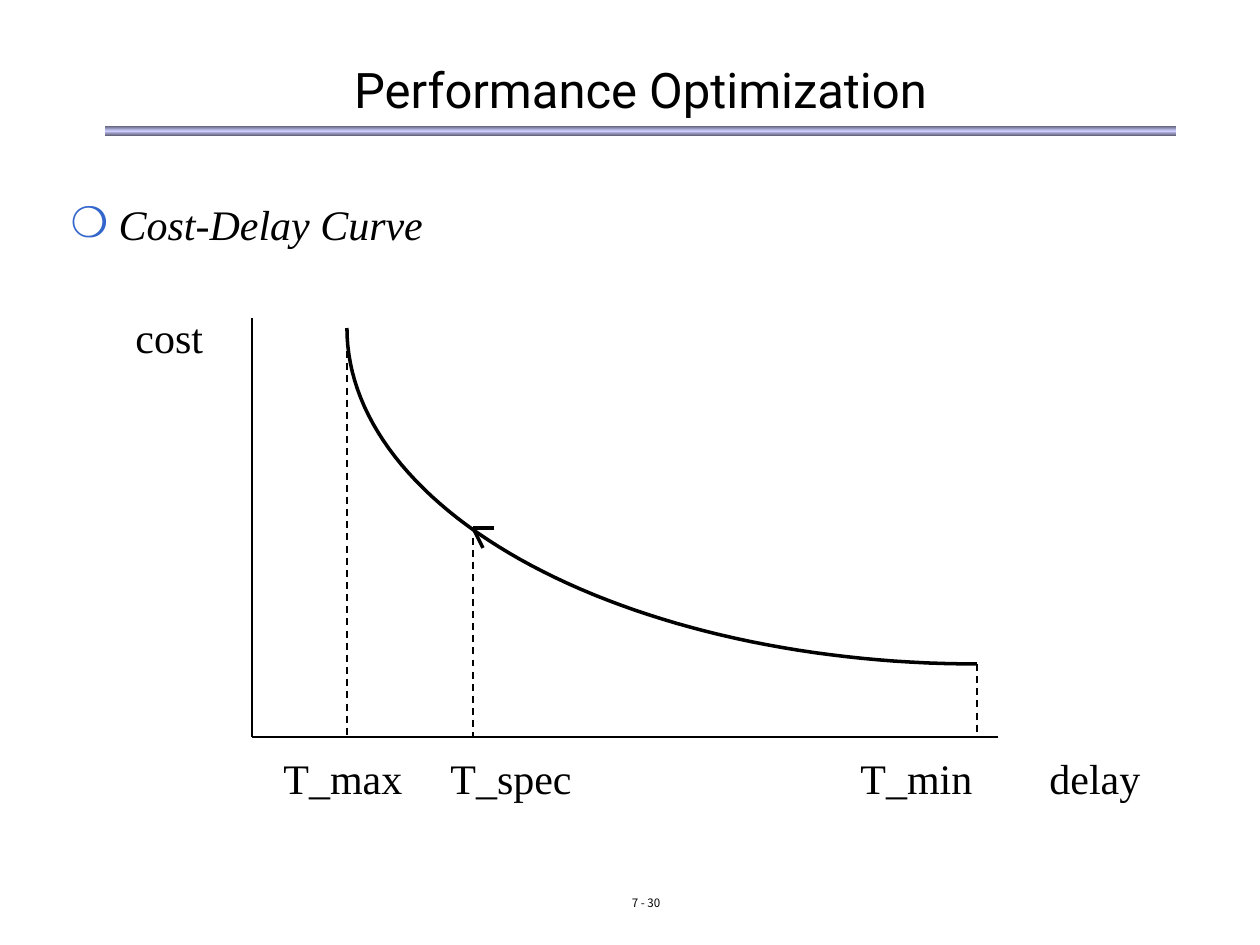
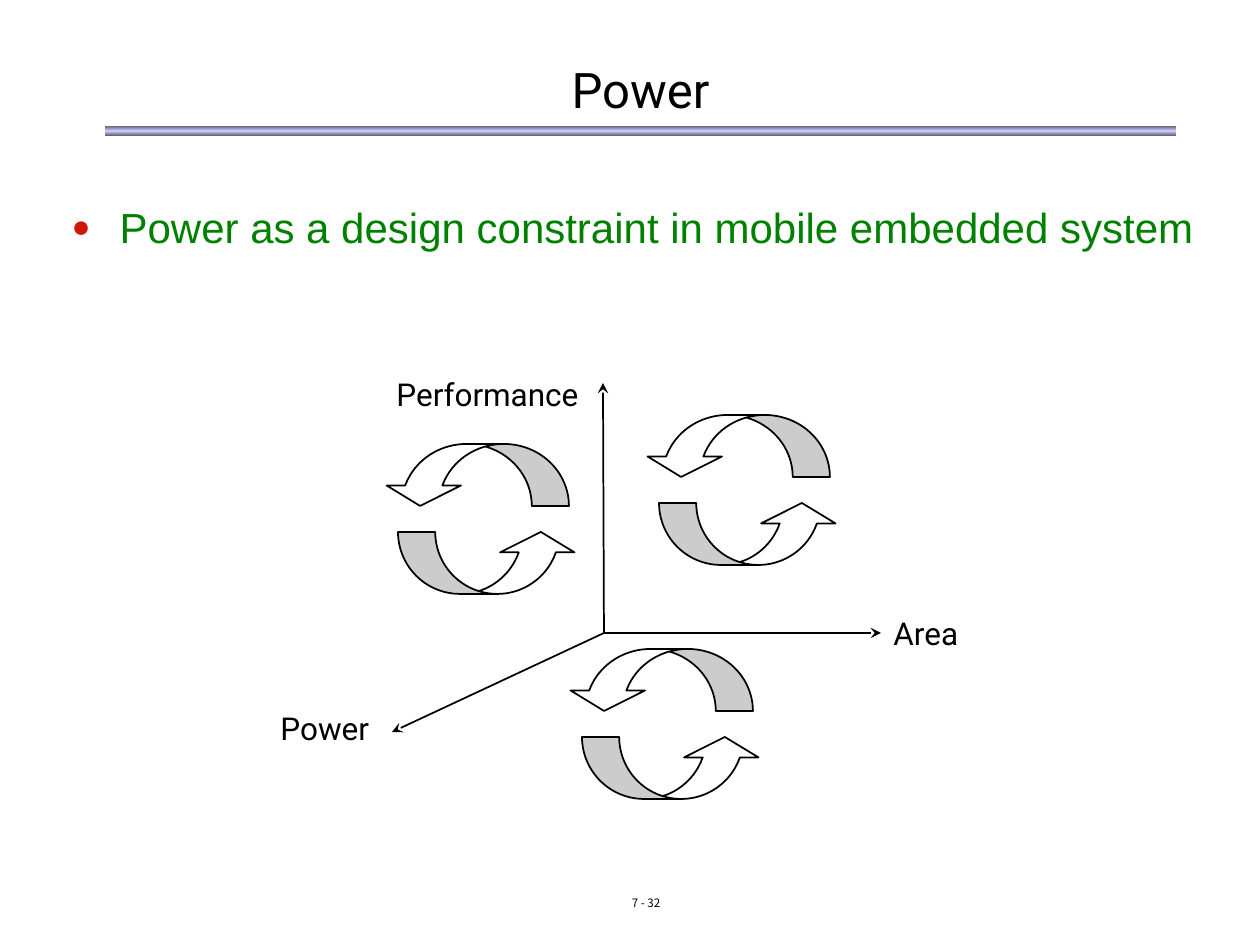
from copy import deepcopy
from math import cos, pi, sin
from typing import Any, NamedTuple

from pptx import Presentation
from pptx.dml.color import RGBColor
from pptx.dml.line import LineFormat
from pptx.enum.dml import MSO_LINE
from pptx.enum.shapes import MSO_CONNECTOR, MSO_SHAPE as Preset
from pptx.enum.text import MSO_ANCHOR as Anchor, MSO_AUTO_SIZE as AutoSize, PP_ALIGN as Align
from pptx.oxml.ns import qn
from pptx.oxml.xmlchemy import OxmlElement
from pptx.slide import Slide
from pptx.text.text import TextFrame
from pptx.util import Emu, Pt

# Shared scale, colours and fonts
EMU_PER_PX = 914400 / 126
BLACK = RGBColor(0x00, 0x00, 0x00)
WHITE = RGBColor(0xFF, 0xFF, 0xFF)
BAND_EDGE = RGBColor(0x5E, 0x5E, 0x76)
BAND_MIDDLE = RGBColor(0xCC, 0xCC, 0xFF)
BLUE = RGBColor(0x33, 0x66, 0xCC)
RED = RGBColor(0xD0, 0x16, 0x08)
GREEN = RGBColor(0x00, 0x80, 0x00)
SANS, SERIF, BODY_SANS = "Roboto", "Times New Roman", "Arial"
FOOTER_FONT = "Noto Sans CJK KR"


class Box(NamedTuple):
    left: int
    top: int
    width: int
    height: int


class Label(NamedTuple):
    text: str
    box: Box


class Line(NamedTuple):
    x1: int
    y1: int
    x2: int
    y2: int
    weight: int = 1
    dash: MSO_LINE | None = None
    arrow: bool = False


class TextStyle(NamedTuple):
    font: str
    size: float
    color: RGBColor = BLACK
    italic: bool = False


class Bullet(NamedTuple):
    char: str
    color: RGBColor
    percent: int
    indent: int
    space_before: int


TITLE_BOX = Box(105, 62, 1071, 53)
BAND_BOX = Box(105, 126, 1071, 10)
FOOTER_BOX = Box(515, 892, 262, 32)
TITLE_STYLE = TextStyle(SANS, 28)
FOOTER_STYLE = TextStyle(FOOTER_FONT, 6.6)
CURVE_LABEL = TextStyle(SERIF, 24)
AXIS_LABEL = TextStyle(SANS, 18)


def px(length: float) -> Emu:
    return Emu(round(length * EMU_PER_PX))


def emu(box: Box) -> list[Emu]:
    return [px(length) for length in box]


def set_all(target: Any, values: dict[str, Any]) -> None:
    for name, value in values.items():
        setattr(target, name, value)


def write(frame: TextFrame, text: str, style: TextStyle, **paragraph_format: Any) -> None:
    paragraph = frame.paragraphs[0]
    set_all(paragraph, paragraph_format)
    run = paragraph.add_run()
    run.text = text
    set_all(run.font, {"name": style.font, "size": Pt(style.size),
                       "italic": style.italic, "bold": False})
    run.font.color.rgb = style.color


def ink(line: LineFormat, weight: int = 1) -> None:
    line.color.rgb = BLACK
    line.width = Pt(weight)


# Parts that both slides share
def add_band(slide: Slide) -> None:
    band = slide.shapes.add_shape(Preset.RECTANGLE, *emu(BAND_BOX))
    band.shadow.inherit = False
    band.line.fill.background()
    band.fill.gradient()
    band.fill.gradient_angle = 90
    stop_list = band._element.spPr.find(".//" + qn("a:gsLst"))
    stop_list.append(deepcopy(stop_list[0]))
    colors = (BAND_EDGE, BAND_MIDDLE, BAND_EDGE)
    for i, (stop, color) in enumerate(zip(band.fill.gradient_stops, colors)):
        stop.position = i / 2
        stop.color.rgb = color


def place(slide: Slide, index: int, box: Box, frame_format: dict[str, Any]) -> TextFrame:
    holder = slide.placeholders[index]
    set_all(holder, dict(zip(Box._fields, emu(box))))
    set_all(holder.text_frame, {"auto_size": AutoSize.NONE, "word_wrap": True, **frame_format})
    return holder.text_frame


def start_slide(prs: Presentation, title: str, page: str) -> Slide:
    slide = prs.slides.add_slide(prs.slide_layouts[1])
    add_band(slide)
    margins = dict.fromkeys(("margin_left", "margin_right", "margin_top", "margin_bottom"), 0)
    heading = place(slide, 0, TITLE_BOX, {"vertical_anchor": Anchor.MIDDLE, **margins})
    write(heading, title, TITLE_STYLE, alignment=Align.CENTER)
    footer = slide.shapes.add_textbox(*emu(FOOTER_BOX)).text_frame
    footer.word_wrap = True
    write(footer, page, FOOTER_STYLE, alignment=Align.CENTER, line_spacing=0.8)
    return slide


def add_topic(slide: Slide, topic: Label, style: TextStyle, bullet: Bullet) -> None:
    frame = place(slide, 1, topic.box, {"vertical_anchor": Anchor.TOP})
    write(frame, topic.text, style, alignment=Align.LEFT,
          space_before=Pt(bullet.space_before))
    properties = frame.paragraphs[0]._p.get_or_add_pPr()
    properties.set("marL", str(px(bullet.indent)))
    properties.set("indent", str(-px(bullet.indent)))
    color = OxmlElement("a:buClr")
    rgb = OxmlElement("a:srgbClr")
    rgb.set("val", str(bullet.color))
    color.append(rgb)
    size = OxmlElement("a:buSzPct")
    size.set("val", str(bullet.percent * 1000))
    char = OxmlElement("a:buChar")
    char.set("char", bullet.char)
    properties.extend((color, size, char))


def add_label(slide: Slide, label: Label, style: TextStyle) -> None:
    frame = slide.shapes.add_textbox(*emu(label.box)).text_frame
    set_all(frame, {"word_wrap": False, "auto_size": AutoSize.SHAPE_TO_FIT_TEXT})
    write(frame, label.text, style)


def add_line(slide: Slide, line: Line) -> None:
    ends = [px(value) for value in line[:4]]
    connector = slide.shapes.add_connector(MSO_CONNECTOR.STRAIGHT, *ends)
    ink(connector.line, line.weight)
    if line.dash is not None:
        connector.line.dash_style = line.dash
    if line.arrow:
        tail = OxmlElement("a:tailEnd")
        tail.set("type", "stealth")
        connector.line._get_or_add_ln().append(tail)
    connector._element.spPr.append(OxmlElement("a:effectLst"))


# Cost-delay diagram
AXIS_X, AXIS_Y, AXIS_TOP, AXIS_END = 252, 737, 318, 998
T_MAX, T_SPEC, T_MIN = 347, 473, 977
CURVE_TOP, CURVE_BOTTOM, SPEC_Y = 328, 664, 528
TICK_TOP, LABEL_HEIGHT = 746, 63

CURVE_LINES = (
    Line(AXIS_X, AXIS_TOP, AXIS_X, AXIS_Y),
    Line(AXIS_X, AXIS_Y, AXIS_END, AXIS_Y),
    *(Line(x, top, x, AXIS_Y, dash=MSO_LINE.DASH)
      for x, top in ((T_MIN, CURVE_BOTTOM), (T_MAX, 339), (T_SPEC, 538))),
    Line(T_SPEC, SPEC_Y, T_SPEC + 10, SPEC_Y + 20, weight=2),
    Line(T_SPEC, SPEC_Y, T_SPEC + 21, SPEC_Y, weight=2),
)
CURVE_LABELS = (
    Label("cost", Box(123, 305, 96, LABEL_HEIGHT)),
    Label("T_max", Box(271, TICK_TOP, 148, LABEL_HEIGHT)),
    Label("T_spec", Box(438, TICK_TOP, 150, LABEL_HEIGHT)),
    Label("T_min", Box(848, TICK_TOP, 140, LABEL_HEIGHT)),
    Label("delay", Box(1037, TICK_TOP, 119, LABEL_HEIGHT)),
)


def add_cost_curve(slide: Slide, steps: int = 60) -> None:
    """Draw the lower left quarter of an ellipse."""
    angles = [pi / 2 * i / steps for i in range(steps + 1)]
    points = [(px(T_MIN - (T_MIN - T_MAX) * sin(a)),
               px(CURVE_TOP + (CURVE_BOTTOM - CURVE_TOP) * cos(a))) for a in angles]
    builder = slide.shapes.build_freeform(*points[0])
    builder.add_line_segments(points[1:], close=False)
    curve = builder.convert_to_shape()
    curve.shadow.inherit = False
    curve.fill.background()
    ink(curve.line, 2)


def build_performance(prs: Presentation) -> None:
    slide = start_slide(prs, "Performance Optimization", "7 - 30")
    add_topic(slide, Label("Cost-Delay Curve", Box(58, 192, 500, 63)),
              TextStyle(SERIF, 24, italic=True), Bullet("❍", BLUE, 100, 48, 0))
    add_cost_curve(slide)
    for line in CURVE_LINES:
        add_line(slide, line)
    for label in CURVE_LABELS:
        add_label(slide, label, CURVE_LABEL)


# Power, performance and area trade-offs
ORIGIN = (604, 633)
AXIS_TIPS = ((603, 383), (392, 732), (881, 633))
AXIS_LABELS = (
    Label("Performance", Box(384, 369, 219, 50)),
    Label("Power", Box(268, 703, 120, 50)),
    Label("Area", Box(881, 608, 95, 50)),
)
CYCLES = ((648, 415), (387, 444), (571, 649))
CURVED_ARROW_SHAPE = (0.6, 1.2, 0.33)


def add_curved_arrow(slide: Slide, preset: Preset, box: Box, flip: bool) -> None:
    arrow = slide.shapes.add_shape(preset, *emu(box))
    arrow.shadow.inherit = False
    arrow.fill.solid()
    arrow.fill.fore_color.rgb = WHITE
    ink(arrow.line)
    for i, value in enumerate(CURVED_ARROW_SHAPE):
        arrow.adjustments[i] = value
    if flip:
        arrow._element.spPr.find(qn("a:xfrm")).set("flipH", "1")


def add_cycle(slide: Slide, left: int, top: int) -> None:
    add_curved_arrow(slide, Preset.CURVED_UP_ARROW, Box(left + 11, top + 88, 180, 62), False)
    add_curved_arrow(slide, Preset.CURVED_DOWN_ARROW, Box(left - 4, top, 186, 62), True)


def build_power(prs: Presentation) -> None:
    slide = start_slide(prs, "Power", "7 - 32")
    topic = Label("Power as a design constraint in mobile embedded system",
                  Box(59, 195, 1151, 267))
    add_topic(slide, topic, TextStyle(BODY_SANS, 24, GREEN), Bullet("●", RED, 75, 48, 6))
    for tip in AXIS_TIPS:
        add_line(slide, Line(*ORIGIN, *tip, arrow=True))
    for corner in CYCLES:
        add_cycle(slide, *corner)
    for label in AXIS_LABELS:
        add_label(slide, label, AXIS_LABEL)


def main() -> None:
    prs = Presentation()
    set_all(prs, {"slide_width": px(1260), "slide_height": px(945)})
    build_performance(prs)
    build_power(prs)
    prs.save("out.pptx")


if __name__ == "__main__":
    main()
